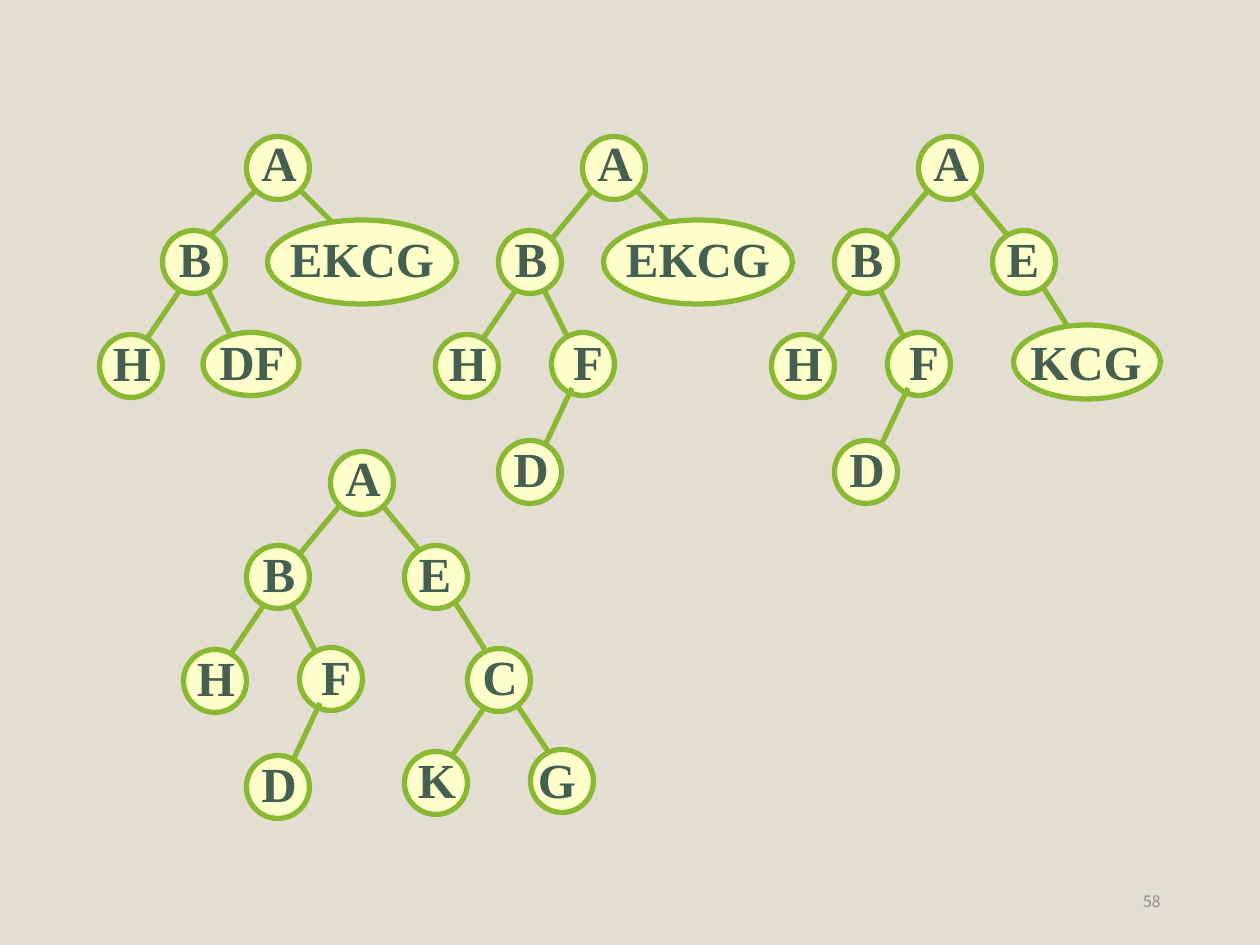
from collections import namedtuple

from lxml import etree
from pptx import Presentation
from pptx import util as u
from pptx.dml.color import RGBColor
from pptx.enum import shapes, text
from pptx.oxml.ns import qn

EMU_PER_PX = 914400 / 126
COLORS = {
    "background": "E3DED1",
    "node": "FFFFCC",
    "edge": "8AB833",
    "label": "455F51",
    "page": "8C8C8C",
}
LABEL_FONT = "Times New Roman"
PAGE_FONT = "Noto Sans CJK SC"
CIRCLE = (63, 63)
LABEL_H = 72

# All places are measured from the centre of the tree's root.
# edge: line from the parent; nudge: label centre from node centre.
Node = namedtuple("Node", "center edge label_w nudge size", defaults=[CIRCLE])
LEFT_EDGE = (-21, 21, -73, 84)
WIDE_EDGE = (-21, 21, -84, 84)
NODES = {
    "A": Node((0, 0), None, 60, (1, -6)),
    "B": Node((-84, 94), LEFT_EDGE, 58, (1, -4)),
    "E": Node((74, 94), (11, 11, 63, 74), 58, (-1, -4)),
    "H": Node((-147, 198), (-94, 116, -136, 178), 63, (1, -4)),
    "F": Node((-31, 196), (-73, 116, -42, 178), 94, (5, -3)),
    "D": Node((-84, 304), (-42, 220, -73, 286), 60, (1, -4)),
    "C": Node((137, 197), (84, 105, 137, 189), 60, (1, -4)),
    "K": Node((74, 300), (126, 219, 84, 282), 63, (1, -4)),
    "G": Node((200, 298), (147, 210, 189, 273), 94, (-5, -2)),
    "DF": Node((-27, 196), (-73, 116, -42, 178), 94, (1, -3), (96, 63)),
    "KCG": Node((137, 194), (84, 105, 137, 189), 137, (-1, -1), (147, 74)),
    "EKCG": Node((84, 94), (21, 21, 84, 84), 170, (0, -4), (189, 84)),
}

# Root centre, then layers from back to front
TREES = [
    ((278, 168), [["A", "EKCG", "B", "H", "DF"]]),
    ((614, 168), [["A", "EKCG", "B", "H", "F"], ["D"]]),
    ((950, 168), [["A", "E", "KCG", "B", "H", "F"], ["D"]]),
    ((362, 483), [["A", "E", "B", "H", "F", "C", "K", "G"], ["D"]]),
]


def px(n):
    return u.Emu(round(n * EMU_PER_PX))


def color(name):
    return RGBColor.from_string(COLORS[name])


def centered(x, y, w, h):
    return [px(n) for n in (x - w / 2, y - h / 2, w, h)]


def add_text(parent, box, value, font, size, fill, align, bold=False):
    tf = parent.add_textbox(*box).text_frame
    tf.word_wrap = False
    tf.vertical_anchor = text.MSO_ANCHOR.MIDDLE
    p = tf.paragraphs[0]
    p.text = value
    p.alignment = align
    r = p.runs[0]
    r.font.name = font
    r.font.size = u.Pt(size)
    r.font.bold = bold
    r.font.color.rgb = color(fill)


def add_edge(parent, root, ends):
    x, y = root
    x1, y1, x2, y2 = ends
    points = [px(n) for n in (x + x1, y + y1, x + x2, y + y2)]
    line = parent.add_connector(shapes.MSO_CONNECTOR.STRAIGHT, *points)
    line.line.color.rgb = color("edge")
    line.line.width = u.Pt(3)
    etree.SubElement(line._element.spPr, qn("a:effectLst"))


def add_node(parent, root, name):
    node = NODES[name]
    x, y = root[0] + node.center[0], root[1] + node.center[1]
    sp = parent.add_shape(shapes.MSO_SHAPE.OVAL, *centered(x, y, *node.size))
    sp.shadow.inherit = False
    sp.fill.solid()
    sp.fill.fore_color.rgb = color("node")
    sp.line.color.rgb = color("edge")
    sp.line.width = u.Pt(3)
    dx, dy = node.nudge
    add_text(parent, centered(x + dx, y + dy, node.label_w, LABEL_H), name,
             LABEL_FONT, 28, "label", text.PP_ALIGN.CENTER, bold=True)


def add_tree(slide, root, layers):
    group = slide.shapes.add_group_shape().shapes
    for layer in layers:
        # Edges lie behind the nodes of their layer
        for name in layer:
            edge = NODES[name].edge
            if name == "B" and "DF" in layer:
                edge = WIDE_EDGE
            if edge:
                add_edge(group, root, edge)
        for name in layer:
            add_node(group, root, name)


def main():
    prs = Presentation()
    prs.slide_width, prs.slide_height = px(1260), px(945)
    slide = prs.slides.add_slide(prs.slide_layouts[6])
    slide.background.fill.solid()
    slide.background.fill.fore_color.rgb = color("background")

    # Steps of rebuilding the binary tree
    for root, layers in TREES:
        add_tree(slide, root, layers)

    # Page number
    add_text(slide.shapes, [px(n) for n in (890, 876, 283, 50)], "58",
             PAGE_FONT, 9, "page", text.PP_ALIGN.RIGHT)
    prs.save("out.pptx")


if __name__ == "__main__":
    main()
